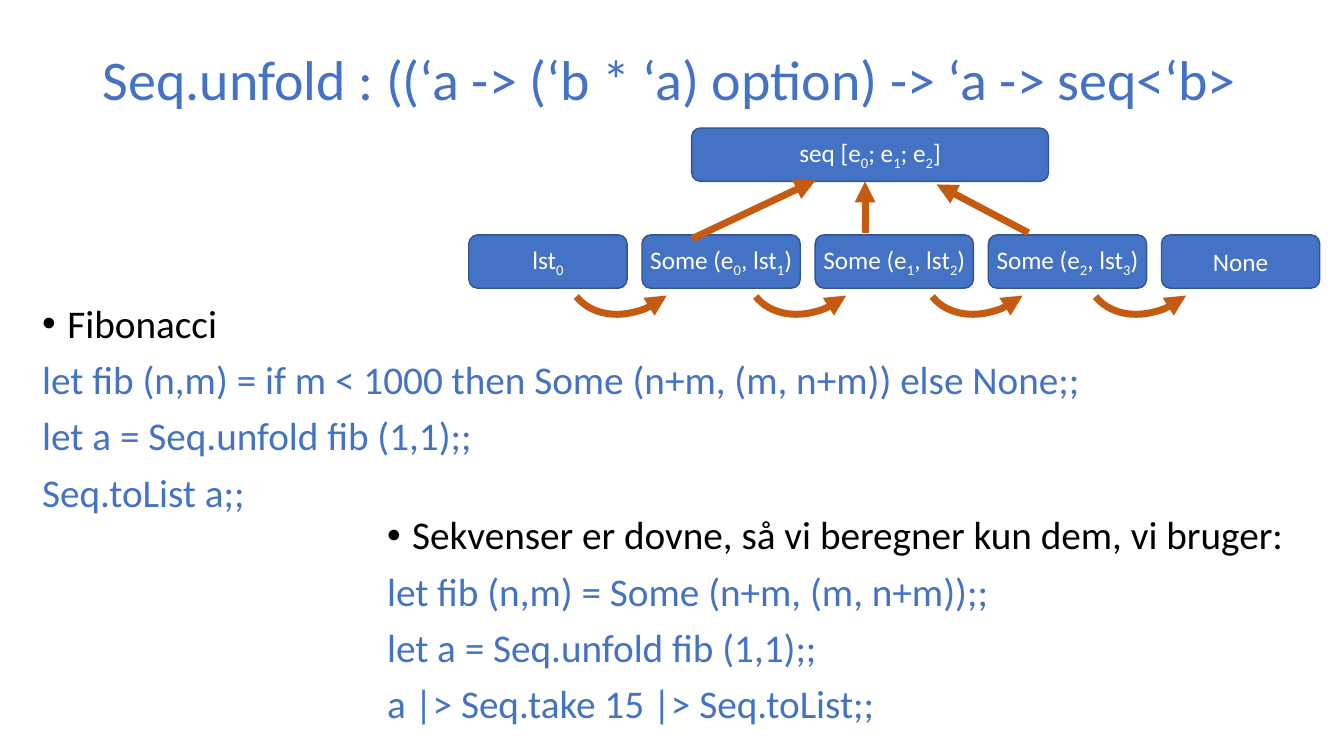
from pptx import Presentation
from pptx.dml.color import RGBColor
from pptx.enum.shapes import MSO_CONNECTOR, MSO_SHAPE
from pptx.enum.text import MSO_ANCHOR, PP_ALIGN
from pptx.oxml.ns import qn
from pptx.util import Inches, Pt
from lxml.etree import SubElement

BLUE = RGBColor(0x44, 0x72, 0xC4)
EDGE = RGBColor(0x32, 0x54, 0x91)
ORANGE = RGBColor(0xC5, 0x5A, 0x11)
BLACK = RGBColor(0, 0, 0)
WHITE = RGBColor(0xFF, 0xFF, 0xFF)

COL_LEFT, COL_STEP = 4.65, 1.7175
BOX_W, BOX_H = 1.57, 0.53
SEQ_TOP, STEP_TOP = 1.27, 2.33
ARC_W, ARC_H = 1.41, 1.11


def write(p, text, size=28, color=BLUE, align=None, bullet=False, spacing=None, before=0):
    pPr = p._p.get_or_add_pPr()
    if bullet:
        pPr.set("marL", str(Inches(0.25)))
        pPr.set("indent", str(Inches(-0.25)))
        SubElement(pPr, qn("a:buFont")).set("typeface", "Arial")
        SubElement(pPr, qn("a:buChar")).set("char", "•")
    p.alignment = align
    p.line_spacing = spacing
    p.space_before = Pt(before)
    first, *rest = text.split("_")
    pieces = [(first, False)]
    for part in rest:
        pieces += [(part[0], True), (part[1:], False)]
    for piece, subscript in pieces:
        if piece:
            r = p.add_run()
            r.text = piece
            r.font.name = "Calibri"
            r.font.size = Pt(size)
            r.font.color.rgb = color
            if subscript:
                r._r.get_or_add_rPr().set("baseline", "-25000")


prs = Presentation()
prs.slide_width, prs.slide_height = Inches(13.33), Inches(7.5)
slide = prs.slides.add_slide(prs.slide_layouts[6])

title = slide.shapes.add_textbox(Inches(0.92), Inches(0.4), Inches(11.5), Inches(0.83))
tf = title.text_frame
tf.word_wrap = True
tf.vertical_anchor = MSO_ANCHOR.MIDDLE
write(tf.paragraphs[0], "Seq.unfold : ((‘a -> (‘b * ‘a) option) -> ‘a -> seq<‘b>", size=40, spacing=0.9)

examples = [
    (0.32, 2.97, 10.75, 2.39, [
        "Fibonacci",
        "let fib (n,m) = if m < 1000 then Some (n+m, (m, n+m)) else None;;",
        "let a = Seq.unfold fib (1,1);;",
        "Seq.toList a;;",
    ]),
    (3.74, 5.07, 9.18, 2.43, [
        "Sekvenser er dovne, så vi beregner kun dem, vi bruger:",
        "let fib (n,m) = Some (n+m, (m, n+m));;",
        "let a = Seq.unfold fib (1,1);;",
        "a |> Seq.take 15 |> Seq.toList;;",
    ]),
]
for left, top, width, height, lines in examples:
    sp = slide.shapes.add_textbox(Inches(left), Inches(top), Inches(width), Inches(height))
    tf = sp.text_frame
    tf.word_wrap = True
    for i, line in enumerate(lines):
        p = tf.paragraphs[0] if i == 0 else tf.add_paragraph()
        write(p, line, color=BLUE if i else BLACK, bullet=i == 0, spacing=0.9, before=10 if i else 0)

steps = ["lst_0", "Some (e_0, lst_1)", "Some (e_1, lst_2)", "Some (e_2, lst_3)", "None"]
boxes = [(6.86, SEQ_TOP, 3.54, "seq [e_0; e_1; e_2]")]
boxes += [(COL_LEFT + i * COL_STEP, STEP_TOP, BOX_W, text) for i, text in enumerate(steps)]
for left, top, width, text in boxes:
    s = slide.shapes.add_shape(MSO_SHAPE.ROUNDED_RECTANGLE, Inches(left), Inches(top), Inches(width), Inches(BOX_H))
    s.shadow.inherit = False
    s.fill.solid()
    s.fill.fore_color.rgb = BLUE
    s.line.color.rgb = EDGE
    s.line.width = Pt(1)
    tf = s.text_frame
    tf.word_wrap = True
    tf.margin_left = tf.margin_right = 0
    tf.vertical_anchor = MSO_ANCHOR.MIDDLE
    write(tf.paragraphs[0], text, size=18, color=WHITE, align=PP_ALIGN.CENTER)

arrows = []
for x1, y1, x2, y2 in [(6.86, 2.37, 8.09, 1.79), (8.58, 2.31, 8.58, 1.8), (10.2, 2.31, 9.29, 1.83)]:
    s = slide.shapes.add_connector(MSO_CONNECTOR.STRAIGHT, Inches(x1), Inches(y1), Inches(x2), Inches(y2))
    arrows.append((s, "a:tailEnd"))

for left in (5.56, 7.34, 9.09, 10.71):
    s = slide.shapes.add_shape(MSO_SHAPE.ARC, Inches(left), Inches(1.945), Inches(ARC_W), Inches(ARC_H))
    s.rotation = 141.2
    s.fill.background()
    arrows.append((s, "a:headEnd"))

for s, end in arrows:
    s.line.color.rgb = ORANGE
    s.line.width = Pt(5)
    SubElement(s.line._get_or_add_ln(), qn(end)).set("type", "triangle")
    SubElement(s._element.spPr, qn("a:effectLst"))

prs.save("out.pptx")
